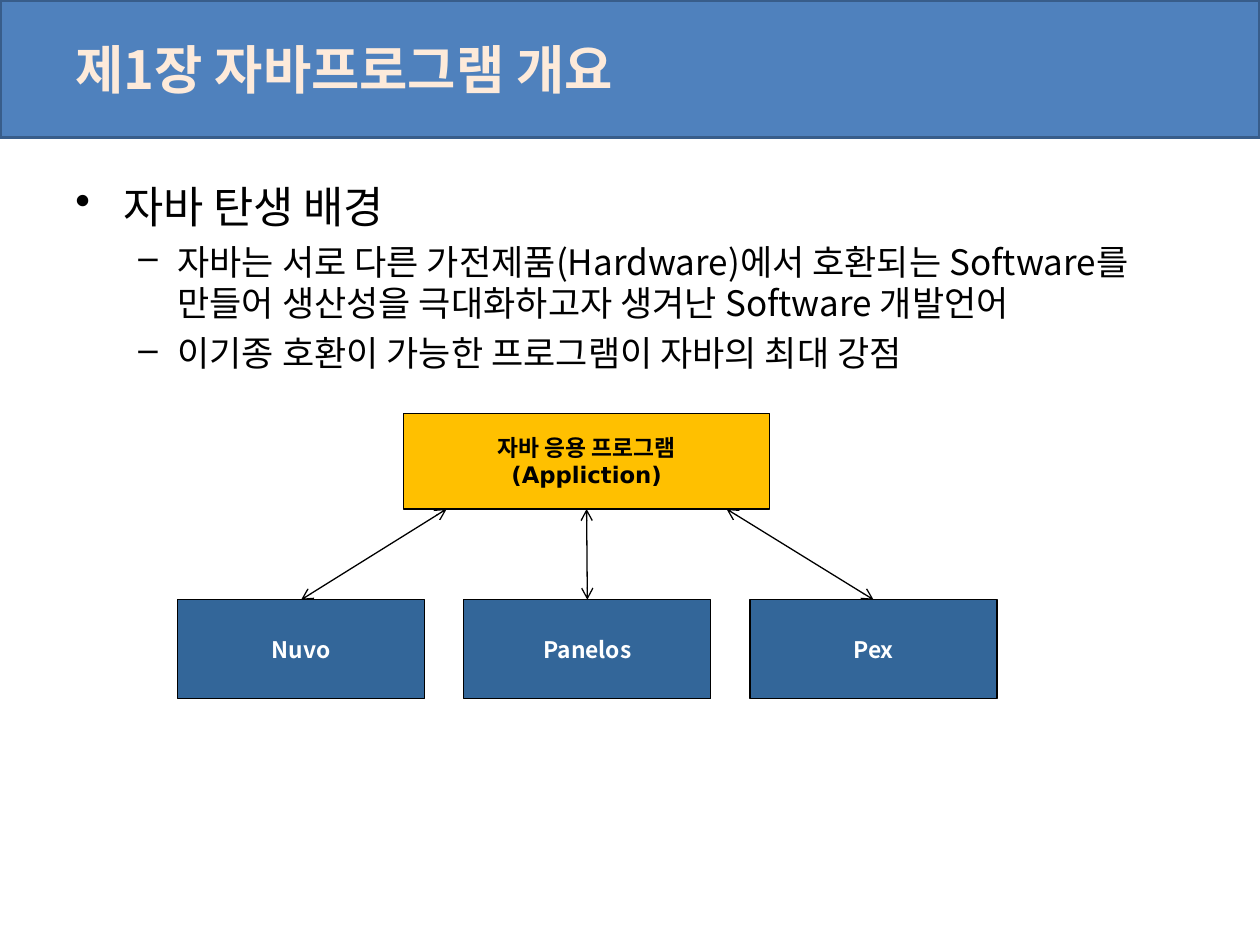
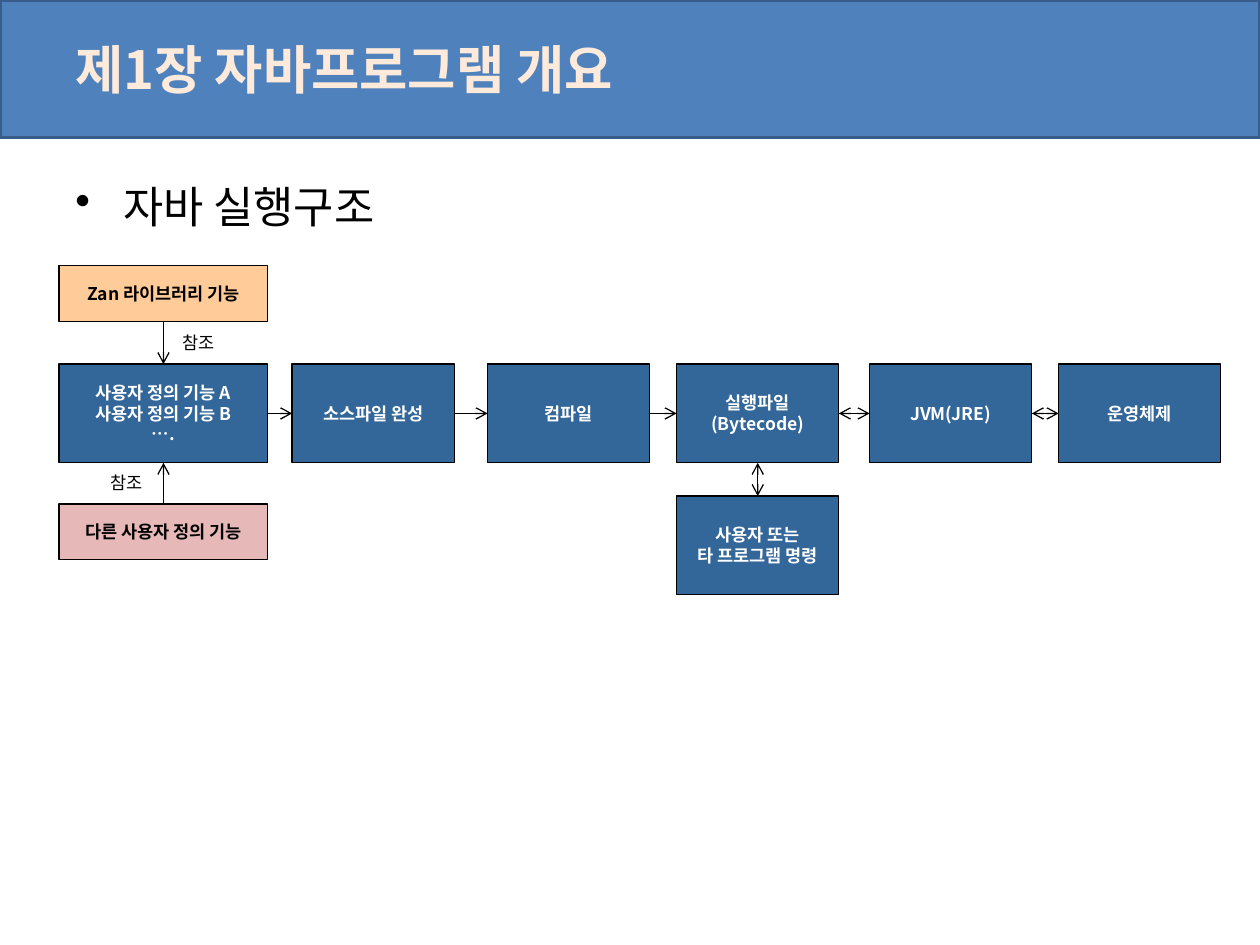
from dataclasses import dataclass

from lxml.etree import SubElement
from pptx import Presentation
from pptx.dml.color import RGBColor
from pptx.enum.shapes import MSO_CONNECTOR, MSO_SHAPE
from pptx.enum.text import MSO_ANCHOR, PP_ALIGN
from pptx.oxml.ns import qn
from pptx.util import Cm, Pt


@dataclass(frozen=True)
class Theme:
    font: str = "Noto Sans CJK KR"
    application_font: str = "DejaVu Sans"
    black: RGBColor = RGBColor.from_string("000000")
    white: RGBColor = RGBColor.from_string("FFFFFF")
    band: RGBColor = RGBColor.from_string("4F81BD")
    band_edge: RGBColor = RGBColor.from_string("385D8A")
    title: RGBColor = RGBColor.from_string("FDEADA")
    navy: RGBColor = RGBColor.from_string("336699")
    gold: RGBColor = RGBColor.from_string("FFC000")
    peach: RGBColor = RGBColor.from_string("FFCC99")
    pink: RGBColor = RGBColor.from_string("E6B9B8")
    title_size: float = 30
    topic_size: float = 25
    point_size: float = 20
    platform_size: float = 13
    step_size: float = 10
    line_ratio: float = 1.18
    thin: float = 0.75
    thick: float = 2


THEME = Theme()


def add_text_block(slide, lines, at, size, color=THEME.black, fill=None, edge=THEME.black,
                   edge_width=THEME.thin, bold=False, font=THEME.font, wrap=False):
    """Add a filled rectangle with centred text, or a plain text box when fill is None."""
    place = [Cm(value) for value in at]
    if fill is None:
        shape = slide.shapes.add_textbox(*place)
    else:
        shape = slide.shapes.add_shape(MSO_SHAPE.RECTANGLE, *place)
        shape.shadow.inherit = False
        shape.fill.solid()
        shape.fill.fore_color.rgb = fill
        shape.line.color.rgb = edge
        shape.line.width = Pt(edge_width)
    frame = shape.text_frame
    frame.word_wrap = wrap
    frame.vertical_anchor = MSO_ANCHOR.TOP if fill is None else MSO_ANCHOR.MIDDLE
    for index, line in enumerate(lines):
        paragraph = frame.add_paragraph() if index else frame.paragraphs[0]
        paragraph.alignment = PP_ALIGN.LEFT if fill is None else PP_ALIGN.CENTER
        if len(lines) > 1:
            paragraph.line_spacing = Pt(size * THEME.line_ratio)
        run = paragraph.add_run()
        run.text = line
        for name, value in {"size": Pt(size), "bold": bold, "name": font}.items():
            setattr(run.font, name, value)
        run.font.color.rgb = color
        SubElement(run.font._element, qn("a:ea"), typeface=THEME.font)
    return shape


def add_arrow(slide, start, end, double=False):
    connector = slide.shapes.add_connector(
        MSO_CONNECTOR.STRAIGHT, *[Cm(value) for value in (*start, *end)])
    connector.line.color.rgb = THEME.black
    connector.line.width = Pt(THEME.thin)
    line = connector.line._get_or_add_ln()
    for tag in ("a:headEnd", "a:tailEnd") if double else ("a:tailEnd",):
        SubElement(line, qn(tag), type="arrow")
    SubElement(connector._element.spPr, qn("a:effectLst"))


presentation = Presentation()
presentation.slide_width = Cm(25.4)
presentation.slide_height = Cm(19.05)

# Outline levels: bullet, type size, left margin, hanging indent, space before
levels = [
    ("•", THEME.topic_size, 0.97, 0.97, 0),
    ("–", THEME.point_size, 2.06, 0.79, 5),
]
outlines = [
    [
        (0, "자바 탄생 배경"),
        (1, "자바는 서로 다른 가전제품(Hardware)에서 호환되는 Software를 "
            "만들어 생산성을 극대화하고자 생겨난 Software 개발언어"),
        (1, "이기종 호환이 가능한 프로그램이 자바의 최대 강점"),
    ],
    [(0, "자바 실행구조")],
]

# Band, title and outline on every slide
slides = []
for outline in outlines:
    slide = presentation.slides.add_slide(presentation.slide_layouts[6])
    slides.append(slide)
    add_text_block(slide, [], (0, 0, 25.4, 2.77), THEME.title_size, fill=THEME.band,
                   edge=THEME.band_edge, edge_width=THEME.thick)
    title = add_text_block(slide, ["제1장 자바프로그램 개요"], (1.27, -0.2, 22.86, 3.18),
                           THEME.title_size, THEME.title, bold=True, wrap=True)
    title.text_frame.vertical_anchor = MSO_ANCHOR.MIDDLE
    body = add_text_block(slide, [text for _, text in outline], (1.27, 3.52, 22.86, 12.57),
                          THEME.topic_size, wrap=True)
    for (level, _), paragraph in zip(outline, body.text_frame.paragraphs):
        bullet, size, margin, hanging, before = levels[level]
        paragraph.runs[0].font.size = Pt(size)
        spacing = {"level": level, "space_before": Pt(before),
                   "line_spacing": Pt(size * THEME.line_ratio)}
        for name, value in spacing.items():
            setattr(paragraph, name, value)
        properties = paragraph._p.get_or_add_pPr()
        properties.set("marL", str(Cm(margin)))
        properties.set("indent", str(-Cm(hanging)))
        SubElement(properties, qn("a:buChar"), char=bullet)

background_slide, execution_slide = slides

# Slide 1: one application over three platforms
application_left, application_top, application_width, application_height = 8.13, 8.33, 7.39, 1.93
application_middle = application_left + application_width / 2
application_bottom = application_top + application_height
platform_left, platform_top, platform_width, platform_height = 3.58, 12.09, 4.98, 2
platform_step = 5.77
arrow_spread = 2.82

add_text_block(background_slide, ["자바 응용 프로그램", "(Appliction)"],
               (application_left, application_top, application_width, application_height),
               THEME.platform_size, fill=THEME.gold, bold=True, font=THEME.application_font)
for index, platform in enumerate(["Nuvo", "Panelos", "Pex"]):
    left = platform_left + index * platform_step
    add_text_block(background_slide, [platform],
                   (left, platform_top, platform_width, platform_height),
                   THEME.platform_size, THEME.white, THEME.navy, bold=True)
    add_arrow(background_slide,
              (application_middle + (index - 1) * arrow_spread, application_bottom),
              (left + platform_width / 2, platform_top), double=True)

# Slide 2: chain of steps from source to operating system
row_top, row_height = 7.34, 1.99
row_middle, row_bottom = row_top + row_height / 2, row_top + row_height
function_left, function_width = 1.19, 4.21
function_middle = function_left + function_width / 2
step_width = 3.27
run_file_left = 13.64
run_file_middle = run_file_left + step_width / 2
command_top = 10

# Lines, left, width, whether the arrow from the step before points both ways
steps = [
    (["사용자 정의 기능 A", "사용자 정의 기능 B", "…."], function_left, function_width, False),
    (["소스파일 완성"], 5.89, step_width, False),
    (["컴파일"], 9.83, step_width, False),
    (["실행파일", "(Bytecode)"], run_file_left, step_width, False),
    (["JVM(JRE)"], 17.53, step_width, True),
    (["운영체제"], 21.34, step_width, True),
]
previous_right = None
for lines, left, width, double in steps:
    add_text_block(execution_slide, lines, (left, row_top, width, row_height),
                   THEME.step_size, THEME.white, THEME.navy, bold=True)
    if previous_right is not None:
        add_arrow(execution_slide, (previous_right, row_middle), (left, row_middle), double)
    previous_right = left + width

add_text_block(execution_slide, ["사용자 또는", "타 프로그램 명령"],
               (run_file_left, command_top, step_width, row_height),
               THEME.step_size, THEME.white, THEME.navy, bold=True)
add_arrow(execution_slide, (run_file_middle, row_bottom), (run_file_middle, command_top),
          double=True)

# Referenced functions above and below the first step
reference_height = 1.12
library_top, other_top = 5.36, 10.16
label_width, label_height = 1.3, 0.69
references = [
    ("Zan 라이브러리 기능", THEME.peach, library_top, library_top + reference_height, row_top,
     (3.43, 6.56)),
    ("다른 사용자 정의 기능", THEME.pink, other_top, other_top, row_bottom, (1.98, 9.4)),
]
for text, fill, top, arrow_start, arrow_end, label_corner in references:
    add_text_block(execution_slide, [text],
                   (function_left, top, function_width, reference_height),
                   THEME.step_size, fill=fill, bold=True)
    add_arrow(execution_slide, (function_middle, arrow_start), (function_middle, arrow_end))
    add_text_block(execution_slide, ["참조"], (*label_corner, label_width, label_height),
                   THEME.step_size)

presentation.save("out.pptx")
